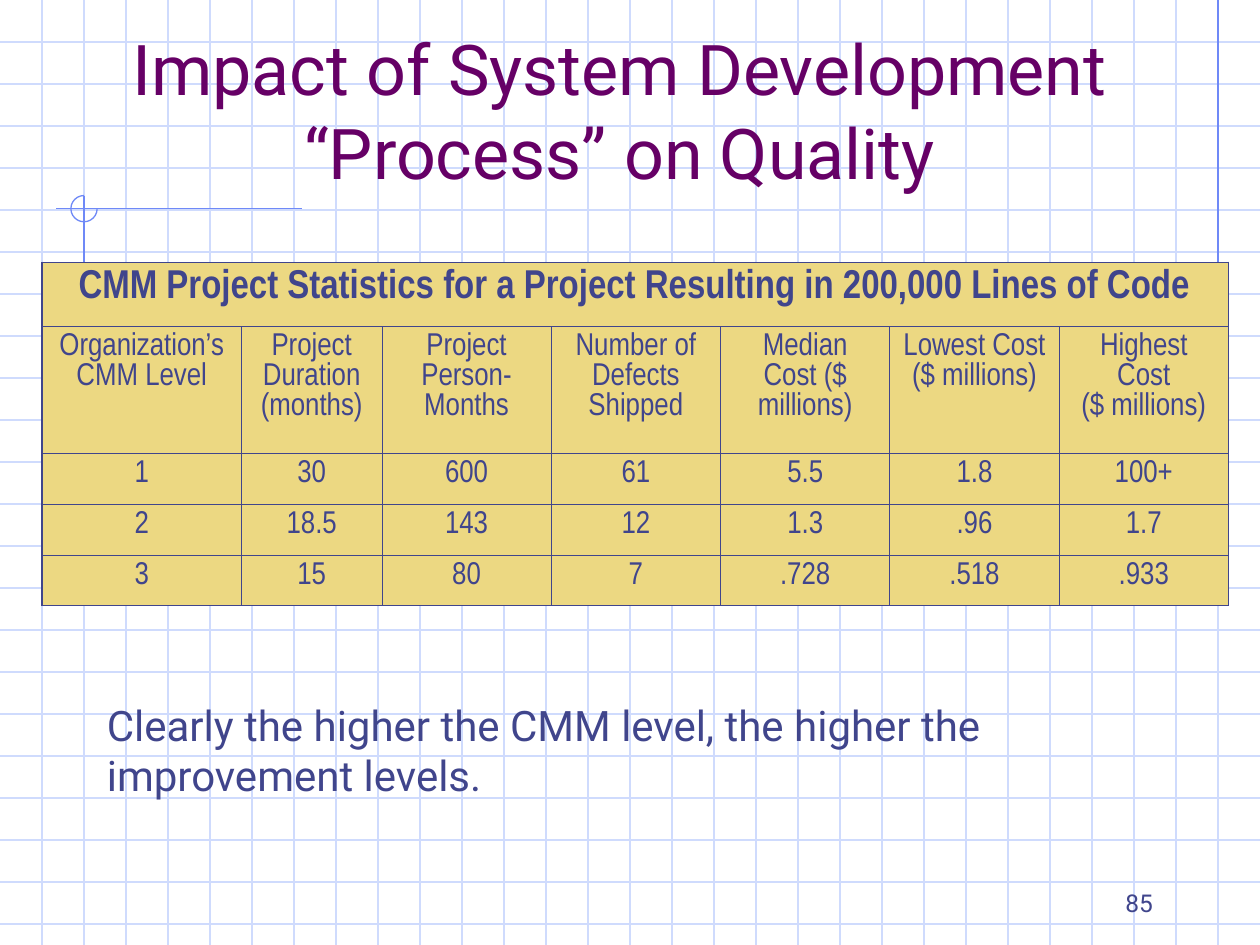
from dataclasses import dataclass

from lxml import etree
from pptx import Presentation
from pptx.dml.color import RGBColor
from pptx.enum import shapes, text
from pptx.oxml import ns
from pptx.util import Pt

PX = 9525  # EMU per px, 96 px to the inch
WIDTH, HEIGHT = 960, 720
GRID_STEP = 32


@dataclass(frozen=True)
class Theme:
    grid: str = "CFDBFD"
    accent: str = "6F89F7"
    title: str = "660066"
    ink: str = "40458C"
    cell: str = "ECD882"
    body_font: str = "Roboto"
    table_font: str = "Arial Narrow"
    title_size: int = 40
    body_size: int = 24
    caption_size: int = 23
    cell_size: int = 18
    number_size: int = 14
    line: float = 0.75
    inner_border: float = 0.45
    outer_border: float = 1.08


THEME = Theme()

CAPTION = "CMM Project Statistics for a Project Resulting in 200,000 Lines of Code"
HEADINGS = ["Organization’s CMM Level", "Project Duration (months)", "Project Person-Months",
            "Number of Defects Shipped", "Median Cost ($ millions)", "Lowest Cost ($ millions)",
            "Highest Cost\v($ millions)"]
LEVELS = [["1", "30", "600", "61", "5.5", "1.8", "100+"],
          ["2", "18.5", "143", "12", "1.3", ".96", "1.7"],
          ["3", "15", "80", "7", ".728", ".518", ".933"]]
COLUMN_WIDTHS = [152, 107] + [129] * 5
ROW_HEIGHTS = [49, 96, 39, 39, 38]


def emu(*lengths):
    return [length * PX for length in lengths]


def write(frame, words, color, align, **font):
    """Put one paragraph of formatted text in a text frame."""
    para = frame.paragraphs[0]
    para.text = words
    para.alignment = align
    for span in para.runs:
        for name, value in font.items():
            setattr(span.font, name, value)
        span.font.color.rgb = RGBColor.from_string(color)


def add_text(page, box, words, color, size, align=text.PP_ALIGN.LEFT,
             anchor=text.MSO_ANCHOR.TOP):
    frame = page.shapes.add_textbox(*emu(*box)).text_frame
    frame.word_wrap = True
    frame.vertical_anchor = anchor
    write(frame, words, color, align, name=THEME.body_font, size=Pt(size))


def add_line(page, start, end, color):
    line = page.shapes.add_connector(shapes.MSO_CONNECTOR.STRAIGHT, *emu(*start, *end))
    line.line.color.rgb = RGBColor.from_string(color)
    line.line.width = Pt(THEME.line)
    etree.SubElement(line._element.spPr, ns.qn("a:effectLst"))


def draw_grid(page, box):
    left, top, width, height = box
    for y in range(top + GRID_STEP, top + height, GRID_STEP):
        add_line(page, (left, y), (left + width, y), THEME.grid)
    for x in range(left + GRID_STEP, left + width, GRID_STEP):
        add_line(page, (x, top), (x, top + height), THEME.grid)


def draw_ornament(page, box):
    left, top, width, height = box
    center_x, center_y, radius = left + 21, top + 159, 10
    # Margin rule and crossing lines
    add_line(page, (left + width, top), (left + width, top + 248), THEME.accent)
    add_line(page, (left + 187, center_y), (left, center_y), THEME.accent)
    add_line(page, (center_x, center_y - radius), (center_x, top + height), THEME.accent)
    # Three quarters of a circle round the crossing
    arc = page.shapes.add_shape(
        shapes.MSO_SHAPE.ARC,
        *emu(center_x - radius, center_y - radius, 2 * radius, 2 * radius))
    arc.adjustments[0], arc.adjustments[1] = 0, 162  # 0 to 270 degrees
    arc.shadow.inherit = False
    arc.fill.background()
    arc.line.color.rgb = RGBColor.from_string(THEME.accent)
    arc.line.width = Pt(THEME.line)


def set_border(cell, side, width):
    border = etree.SubElement(cell._tc.get_or_add_tcPr(), ns.qn(f"a:ln{side}"),
                              w=str(Pt(width)))
    fill = etree.SubElement(border, ns.qn("a:solidFill"))
    etree.SubElement(fill, ns.qn("a:srgbClr"), val=THEME.ink)


def style_cell(cell, outer_sides):
    # Borders come before the fill in the cell properties
    for side in "LRTB":
        set_border(cell, side,
                   THEME.outer_border if outer_sides[side] else THEME.inner_border)
    cell.fill.solid()
    cell.fill.fore_color.rgb = RGBColor.from_string(THEME.cell)


def draw_table(page, box):
    row_count, column_count = len(ROW_HEIGHTS), len(COLUMN_WIDTHS)
    table = page.shapes.add_table(row_count, column_count, *emu(*box)).table
    table.first_row = table.horz_banding = False
    for column, width in zip(table.columns, COLUMN_WIDTHS):
        column.width = width * PX
    for row, height in zip(table.rows, ROW_HEIGHTS):
        row.height = height * PX

    # Caption across all columns, then headings and levels
    table.cell(0, 0).merge(table.cell(0, column_count - 1))
    for i, values in enumerate([[CAPTION] + [""] * (column_count - 1), HEADINGS, *LEVELS]):
        for j, value in enumerate(values):
            cell = table.cell(i, j)
            is_caption = i == 0
            style_cell(cell, {"L": j == 0, "T": is_caption, "B": i == row_count - 1,
                              "R": is_caption or j == column_count - 1})
            write(cell.text_frame, value, THEME.ink, text.PP_ALIGN.CENTER,
                  name=THEME.table_font, bold=is_caption,
                  size=Pt(THEME.caption_size if is_caption else THEME.cell_size))


def main():
    deck = Presentation()
    deck.slide_width, deck.slide_height = emu(WIDTH, HEIGHT)
    page = deck.slides.add_slide(deck.slide_layouts[6])

    # Background
    draw_grid(page, (0, 0, WIDTH, HEIGHT))
    draw_ornament(page, (43, 0, 885, 393))
    # Title
    add_text(page, (64, 32, 816, 120), "Impact of System Development “Process” on Quality",
             THEME.title, THEME.title_size, text.PP_ALIGN.CENTER, text.MSO_ANCHOR.BOTTOM)
    # Statistics
    draw_table(page, (32, 200, sum(COLUMN_WIDTHS), sum(ROW_HEIGHTS)))
    # Conclusion
    add_text(page, (72, 528, 824, 86),
             "Clearly the higher the CMM level, the higher the improvement levels.",
             THEME.ink, THEME.body_size)
    # Slide number
    add_text(page, (688, 656, 200, 48), "85", THEME.ink, THEME.number_size,
             text.PP_ALIGN.RIGHT, text.MSO_ANCHOR.BOTTOM)

    deck.save("out.pptx")


if __name__ == "__main__":
    main()
